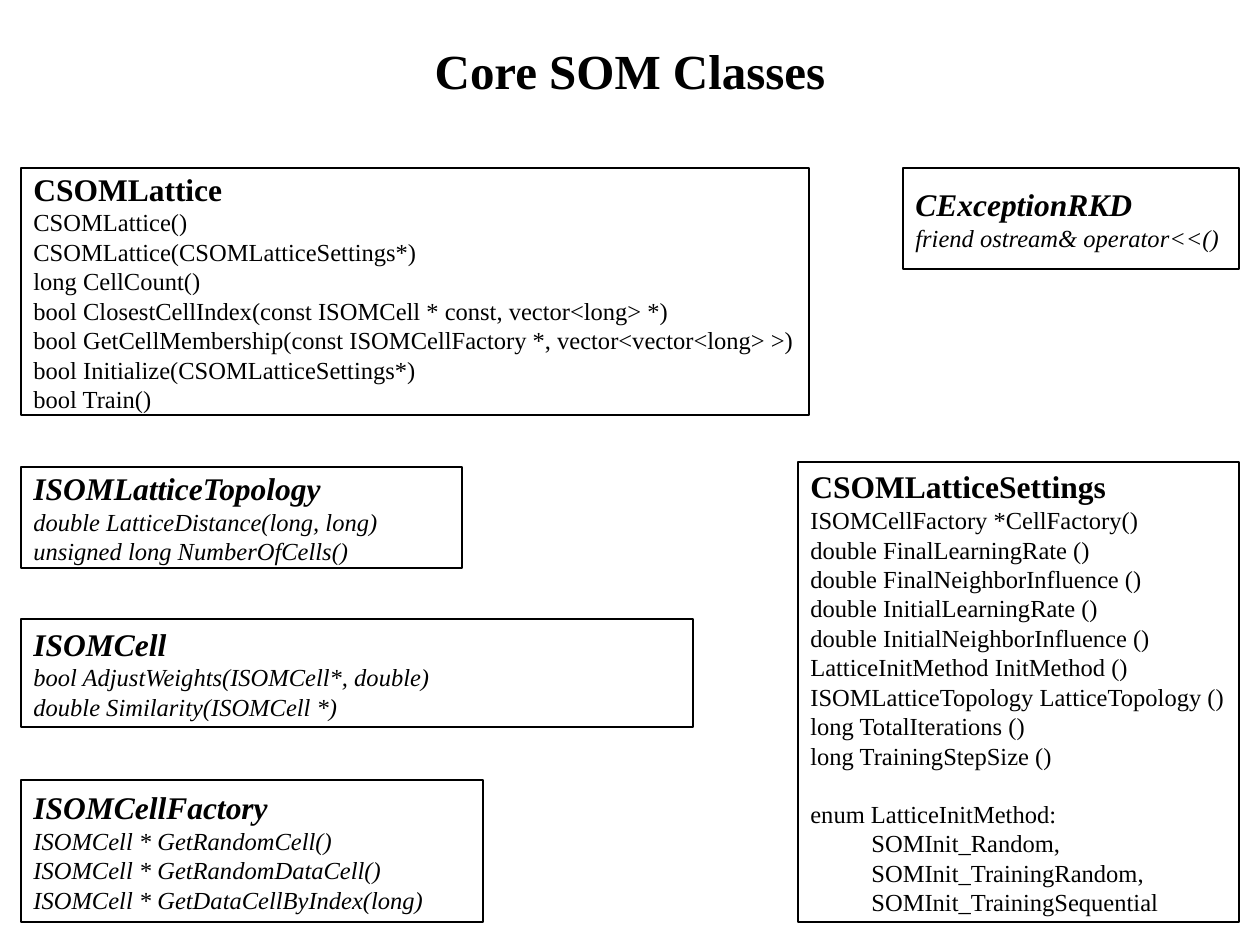
"""Build a slide of class boxes listing the core SOM classes."""
import dataclasses

import pptx
import pptx.dml.color
import pptx.enum.shapes
import pptx.enum.text
import pptx.util

TITLE = "Core SOM Classes"
LEFT_CLASSES = [
    ("CSOMLattice", False, (168, 788, 247), [
        "CSOMLattice()",
        "CSOMLattice(CSOMLatticeSettings*)",
        "long CellCount()",
        "bool ClosestCellIndex(const ISOMCell * const, vector<long> *)",
        "bool GetCellMembership(const ISOMCellFactory *, vector<vector<long> >)",
        "bool Initialize(CSOMLatticeSettings*)",
        "bool Train()",
    ], []),
    ("ISOMLatticeTopology", True, (467, 441, 101), [
        "double LatticeDistance(long, long)",
        "unsigned long NumberOfCells()",
    ], []),
    ("ISOMCell", True, (619, 672, 108), [
        "bool AdjustWeights(ISOMCell*, double)",
        "double Similarity(ISOMCell *)",
    ], []),
    ("ISOMCellFactory", True, (780, 462, 142), [
        "ISOMCell * GetRandomCell()",
        "ISOMCell * GetRandomDataCell()",
        "ISOMCell * GetDataCellByIndex(long)",
    ], []),
]
RIGHT_CLASSES = [
    ("CExceptionRKD", True, (168, 336, 101), [
        "friend ostream& operator<<()",
    ], []),
    ("CSOMLatticeSettings", False, (462, 441, 460), [
        "ISOMCellFactory *CellFactory()",
        "double FinalLearningRate ()",
        "double FinalNeighborInfluence ()",
        "double InitialLearningRate ()",
        "double InitialNeighborInfluence ()",
        "LatticeInitMethod InitMethod ()",
        "ISOMLatticeTopology LatticeTopology ()",
        "long TotalIterations ()",
        "long TrainingStepSize ()",
    ], [
        "enum LatticeInitMethod:",
        "SOMInit_Random,",
        "SOMInit_TrainingRandom,",
        "SOMInit_TrainingSequential",
    ]),
]
PAGE_WIDTH, PAGE_HEIGHT = 1260, 945
MARGIN = 21
TITLE_TOP, TITLE_WIDTH, TITLE_HEIGHT = 34, 416, 72
ENUM_GAP, ENUM_INDENT = 29, 61


@dataclasses.dataclass(frozen=True)
class Theme:
    ink: pptx.dml.color.RGBColor = pptx.dml.color.RGBColor(0, 0, 0)
    font: str = "Times New Roman"
    title: int = 28
    heading: int = 18
    member: int = 14
    border: float = 1.5


THEME = Theme()


def px(length):
    return pptx.util.Emu(round(length * 914400 / 126))


def write(frame, text, size, bold=False, italic=False, align="LEFT", gap=0, indent=0):
    para = frame.paragraphs[0]
    if para.runs:
        para = frame.add_paragraph()
    para.alignment = getattr(pptx.enum.text.PP_ALIGN, align)
    if gap:
        para.space_before = px(gap)
    if indent:
        para._p.get_or_add_pPr().set("marL", str(px(indent)))
    span = para.add_run()
    span.text = text
    span.font.name = THEME.font
    span.font.size = pptx.util.Pt(size)
    span.font.bold = bold
    span.font.italic = italic
    span.font.color.rgb = THEME.ink


def add_class(page, left, top, width, height, name, abstract, members, enum_lines):
    box = page.shapes.add_shape(
        pptx.enum.shapes.MSO_SHAPE.RECTANGLE, px(left), px(top), px(width), px(height))
    box.shadow.inherit = False
    box.fill.background()
    box.line.color.rgb = THEME.ink
    box.line.width = pptx.util.Pt(THEME.border)
    frame = box.text_frame
    frame.word_wrap = True
    frame.vertical_anchor = pptx.enum.text.MSO_ANCHOR.MIDDLE
    write(frame, name, THEME.heading, bold=True, italic=abstract)
    for member in members:
        write(frame, member, THEME.member, italic=abstract)
    for index, line in enumerate(enum_lines):
        write(frame, line, THEME.member, italic=abstract,
              gap=0 if index else ENUM_GAP, indent=ENUM_INDENT if index else 0)


def main():
    deck = pptx.Presentation()
    deck.slide_width, deck.slide_height = px(PAGE_WIDTH), px(PAGE_HEIGHT)
    page = deck.slides.add_slide(deck.slide_layouts[6])
    title = page.shapes.add_textbox(
        px((PAGE_WIDTH - TITLE_WIDTH) / 2), px(TITLE_TOP), px(TITLE_WIDTH), px(TITLE_HEIGHT))
    title.text_frame.word_wrap = False
    write(title.text_frame, TITLE, THEME.title, bold=True, align="CENTER")
    for name, abstract, (top, width, height), members, enum_lines in LEFT_CLASSES:
        add_class(page, MARGIN, top, width, height, name, abstract, members, enum_lines)
    for name, abstract, (top, width, height), members, enum_lines in RIGHT_CLASSES:
        left = PAGE_WIDTH - MARGIN - width
        add_class(page, left, top, width, height, name, abstract, members, enum_lines)
    deck.save("out.pptx")


if __name__ == "__main__":
    main()
